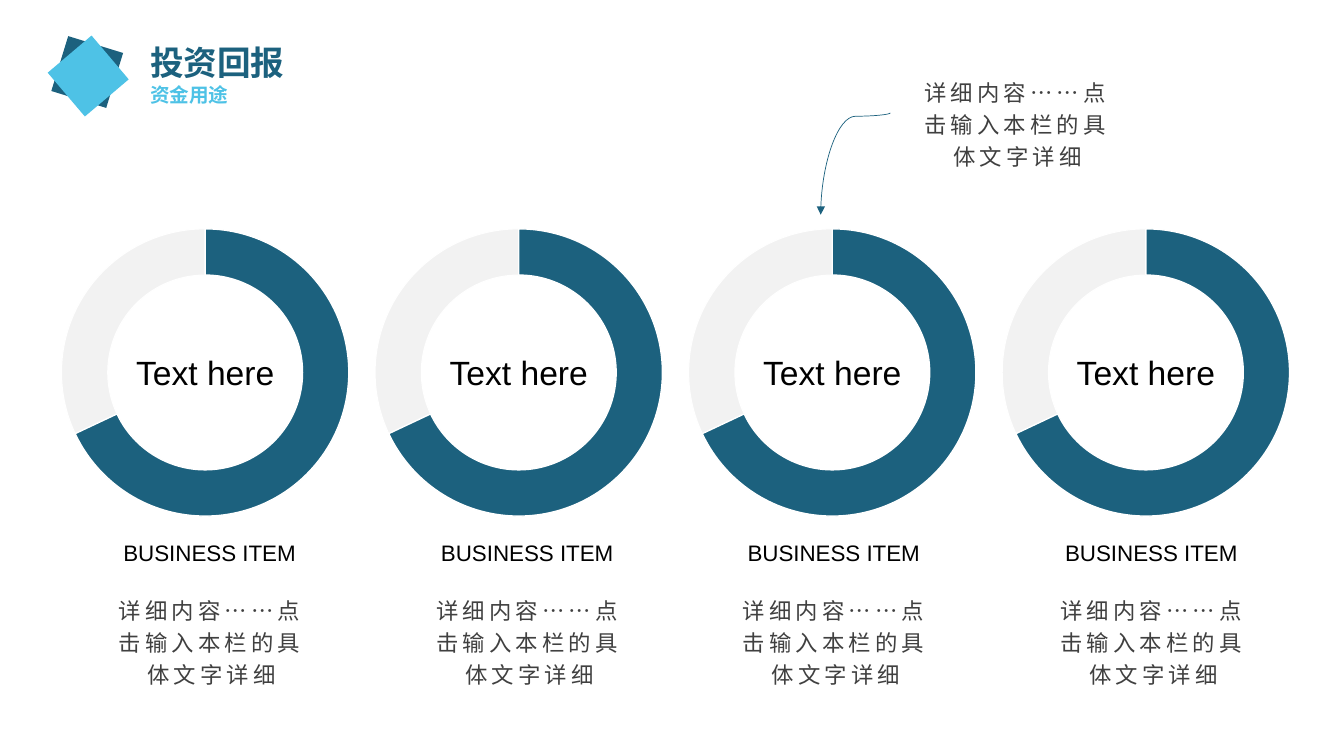
import pptx
import pptx.dml.color
import pptx.enum.shapes
import pptx.enum.text
import pptx.oxml
import pptx.oxml.ns
import pptx.util

Inches = pptx.util.Inches
Pt = pptx.util.Pt
qn = pptx.oxml.ns.qn
SHAPES = pptx.enum.shapes.MSO_SHAPE
ALIGN = pptx.enum.text.PP_ALIGN
COLORS = {"teal": "1C617E", "sky": "4EC2E6", "track": "F2F2F2",
          "white": "FFFFFF", "black": "000000", "gray": "404040"}
DETAIL = "详细内容……点击输入本栏的具体文字详细"


def add_filled(parent, kind, box, fill, line_width=0):
    shape = parent.shapes.add_shape(kind, *map(Inches, box))
    shape.shadow.inherit = False
    shape.fill.solid()
    shape.fill.fore_color.rgb = pptx.dml.color.RGBColor.from_string(COLORS[fill])
    if line_width:
        shape.line.color.rgb = pptx.dml.color.RGBColor.from_string(COLORS["white"])
        shape.line.width = Pt(line_width)
    else:
        shape.line.fill.background()
    return shape


def add_text(parent, box, text, size, color, align=ALIGN.CENTER, bold=False, wrap=True):
    shape = parent.shapes.add_textbox(*map(Inches, box))
    frame = shape.text_frame
    frame.word_wrap = wrap
    frame.auto_size = pptx.enum.text.MSO_AUTO_SIZE.SHAPE_TO_FIT_TEXT
    paragraph = frame.paragraphs[0]
    paragraph.text = text
    paragraph.alignment = align
    paragraph.font.name = "Arial"
    paragraph.font.size = Pt(size)
    paragraph.font.bold = bold
    paragraph.font.color.rgb = pptx.dml.color.RGBColor.from_string(COLORS[color])
    if text == DETAIL:
        paragraph.line_spacing = 1.2
        paragraph.runs[0].font._element.set("spc", "300")
    return shape


presentation = pptx.Presentation()
presentation.slide_width = Inches(13.33)
presentation.slide_height = Inches(7.5)
slide = presentation.slides.add_slide(presentation.slide_layouts[6])

for left, top, rotation, fill in [(0.58, 0.43, 17.1, "teal"), (0.59, 0.47, 49.7, "sky")]:
    square = add_filled(slide, SHAPES.RECTANGLE, (left, top, 0.57, 0.57), fill)
    square.rotation = rotation

add_text(slide, (1.39, 0.37, 1.55, 0.5), "投资回报", 24, "teal", ALIGN.LEFT, True, False)
add_text(slide, (1.39, 0.77, 0.99, 0.34), "资金用途", 14, "sky", ALIGN.LEFT, True, False)

for index, caption_left in enumerate([0.71, 3.86, 6.9, 10.05]):
    ring_left = 0.61 + 3.11 * index
    ring_box = (ring_left, 2.27, 2.85, 2.85)
    ring = slide.shapes.add_group_shape()
    track = add_filled(ring, SHAPES.DONUT, ring_box, "track", 0.75)
    track.adjustments[0] = 0.161
    arc = add_filled(ring, SHAPES.BLOCK_ARC, ring_box, "teal", 1)
    for position, value in enumerate([162, 92.88, 0.161]):
        arc.adjustments[position] = value
    label = add_text(ring, (ring_left + 0.72, 3.41, 1.41, 0.56), "Text here", 24, "black")
    frame = label.text_frame
    frame.auto_size = pptx.enum.text.MSO_AUTO_SIZE.NONE
    frame.vertical_anchor = pptx.enum.text.MSO_ANCHOR.MIDDLE
    frame.margin_left = frame.margin_right = frame.margin_top = frame.margin_bottom = 0
    add_text(slide, (caption_left, 5.3, 2.74, 0.37), "BUSINESS ITEM", 16, "black")
    add_text(slide, (caption_left + 0.26, 5.82, 2.26, 1.07), DETAIL, 16, "gray")

add_text(slide, (8.96, 0.68, 2.26, 1.07), DETAIL, 16, "gray")

arrow = slide.shapes.add_connector(pptx.enum.shapes.MSO_CONNECTOR.CURVE,
                                   Inches(7.98), Inches(1.28), Inches(8.99), Inches(1.97))
arrow.line.color.rgb = pptx.dml.color.RGBColor.from_string(COLORS["teal"])
arrow.line.width = Pt(0.5)
properties = arrow._element.spPr
properties.find(qn("a:xfrm")).set("rot", "5400000")
guide = pptx.oxml.parse_xml(
    f'<a:gd {pptx.oxml.ns.nsdecls("a")} name="adj1" fmla="val 3300"/>')
properties.find(qn("a:prstGeom")).find(qn("a:avLst")).append(guide)
head = pptx.oxml.parse_xml(f'<a:tailEnd {pptx.oxml.ns.nsdecls("a")} type="triangle"/>')
properties.find(qn("a:ln")).append(head)
properties.append(pptx.oxml.parse_xml(f'<a:effectLst {pptx.oxml.ns.nsdecls("a")}/>'))

presentation.save("out.pptx")
